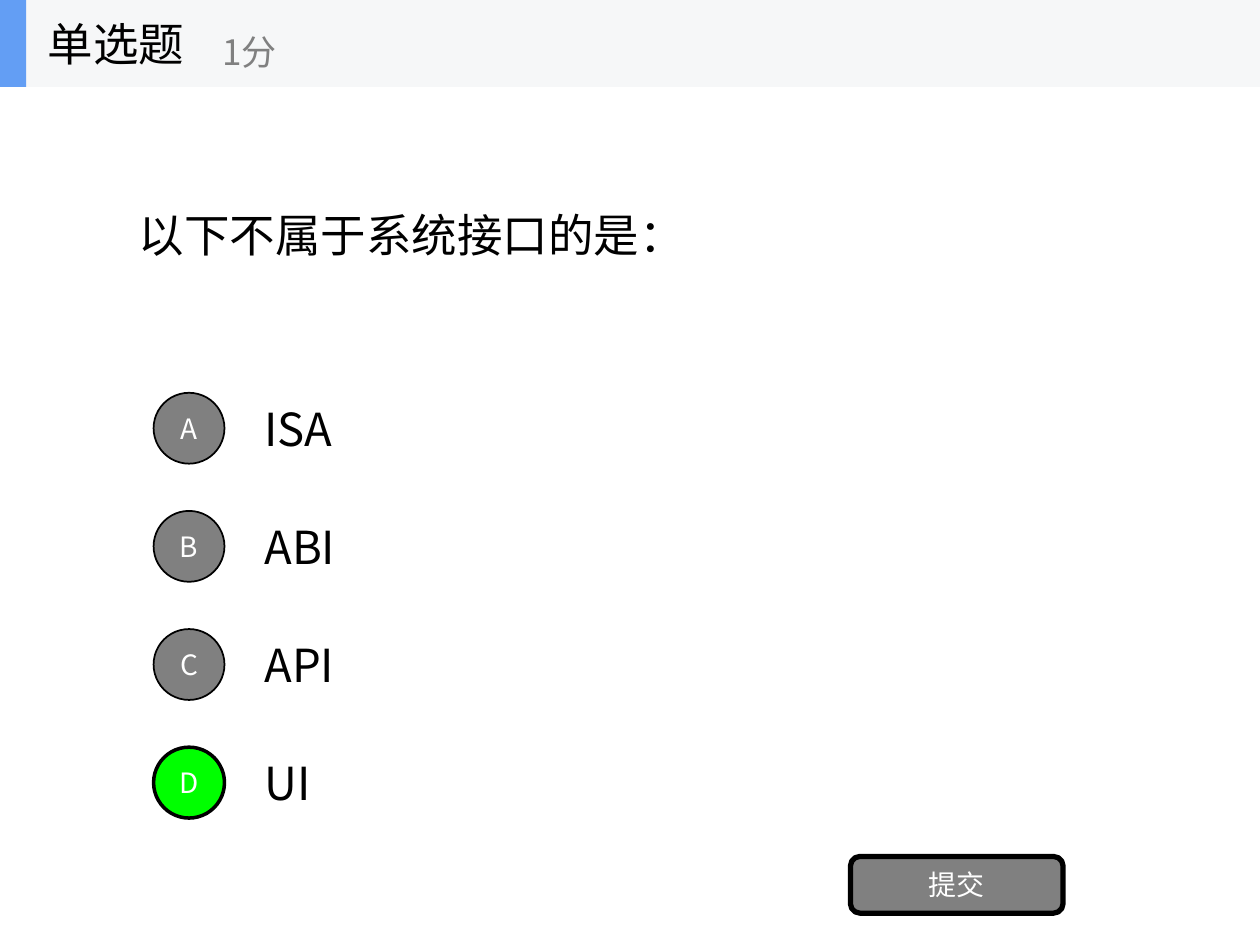
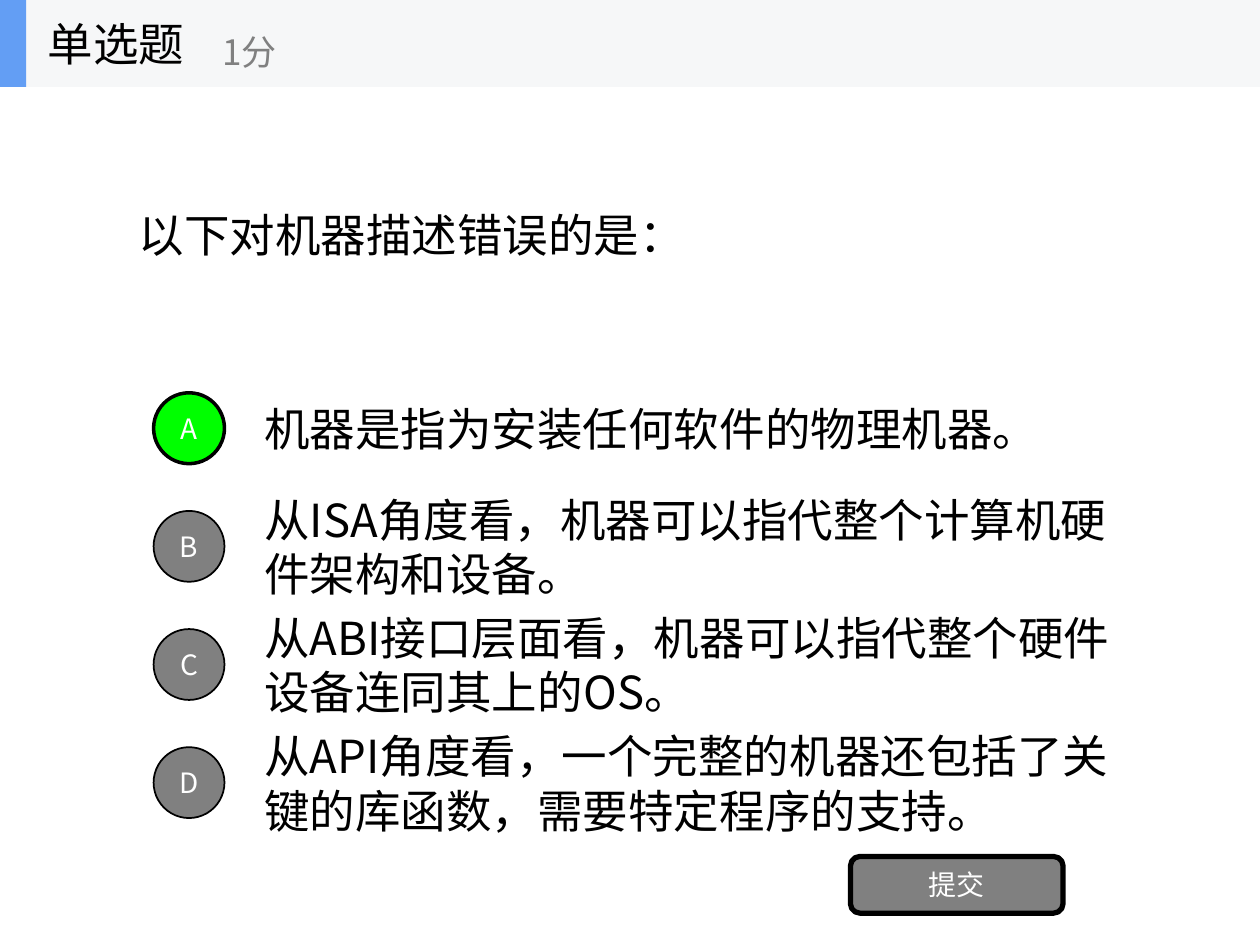
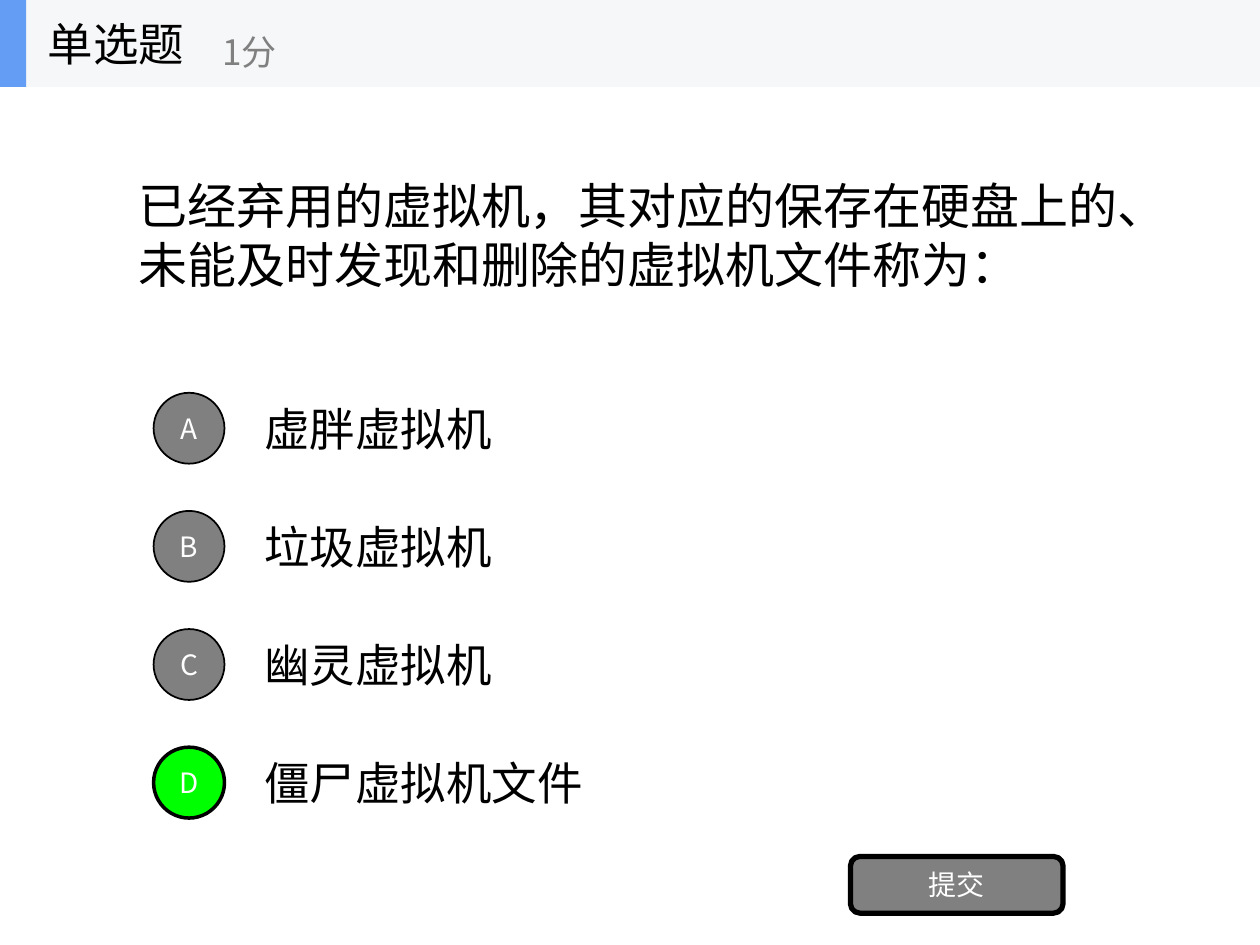
from pptx import Presentation
from pptx.dml.color import RGBColor
from pptx.enum.shapes import MSO_SHAPE
from pptx.enum.text import MSO_ANCHOR, MSO_AUTO_SIZE, PP_ALIGN
from pptx.oxml.ns import qn
from pptx.util import Pt
from lxml.etree import SubElement

COLORS = {
    "text": "000000",
    "white": "FFFFFF",
    "gray": "808080",
    "correct": "00FF00",
    "band": "F6F7F8",
    "accent": "639EF4",
}
FONT = "Noto Sans CJK SC"
BAND_H = 49.7
OPTION_TOP, OPTION_STEP, OPTION_H = 219.4, 67.5, 50.6
CIRCLE = 40.5

# question, its format, options, letter of the right answer
QUESTIONS = [
    ("以下不属于系统接口的是：", {}, ["ISA", "ABI", "API", "UI"], "D"),
    ("以下对机器描述错误的是：", {}, [
        "机器是指为安装任何软件的物理机器。",
        "从ISA角度看，机器可以指代整个计算机硬件架构和设备。",
        "从ABI接口层面看，机器可以指代整个硬件设备连同其上的OS。",
        "从API角度看，一个完整的机器还包括了关键的库函数，需要特定程序的支持。",
    ], "A"),
    ("已经弃用的虚拟机，其对应的保存在硬盘上的、未能及时发现和删除的虚拟机文件称为：",
     {"size": 28, "name": "Times New Roman"},
     ["虚胖虚拟机", "垃圾虚拟机", "幽灵虚拟机", "僵尸虚拟机文件"], "D"),
]


def rgb(name):
    return RGBColor.from_string(COLORS[name])


def box(left, top, width, height):
    return [Pt(v) for v in (left, top, width, height)]


def write(sp, text, size=26, color="text", name=FONT, align=PP_ALIGN.LEFT, wrap=True):
    tf = sp.text_frame
    frame = {"word_wrap": wrap, "auto_size": MSO_AUTO_SIZE.NONE,
             "vertical_anchor": MSO_ANCHOR.MIDDLE}
    for key, value in frame.items():
        setattr(tf, key, value)
    p = tf.paragraphs[0]
    p.alignment = align
    r = p.add_run()
    r.text = text
    for key, value in {"size": Pt(size), "name": name}.items():
        setattr(r.font, key, value)
    r.font.color.rgb = rgb(color)
    # East Asian typeface
    SubElement(r.font._element, qn("a:ea")).set("typeface", FONT)


def add_text(shapes, at, text, **fmt):
    write(shapes.add_textbox(*box(*at)), text, **fmt)


def add_block(shapes, kind, at, fill, line=0):
    sp = shapes.add_shape(kind, *box(*at))
    sp.shadow.inherit = False
    sp.fill.solid()
    sp.fill.fore_color.rgb = rgb(fill)
    if line:
        sp.line.color.rgb = rgb("text")
        sp.line.width = Pt(line)
    else:
        sp.line.fill.background()
    return sp


def add_label(shapes, kind, at, text, fill, line):
    sp = add_block(shapes, kind, at, fill, line)
    for side in ("left", "right", "top", "bottom"):
        setattr(sp.text_frame, f"margin_{side}", 0)
    write(sp, text, size=16, color="white", align=PP_ALIGN.CENTER)


def add_question(s, text, fmt):
    sp = s.shapes.title
    sp.left, sp.top, sp.width, sp.height = box(72, BAND_H, 576, 168.5)
    write(sp, text, **fmt)


def add_options(s, options, answer):
    tops = [OPTION_TOP + i * OPTION_STEP for i in range(len(options))]
    for top, text in zip(tops, options):
        add_text(s.shapes, (144, top, 504, OPTION_H), text)
    for top, letter in zip(tops, "ABCD"):
        fill, line = ("correct", 2) if letter == answer else ("gray", 1)
        at = (87.75, top + (OPTION_H - CIRCLE) / 2, CIRCLE, CIRCLE)
        add_label(s.shapes, MSO_SHAPE.OVAL, at, letter, fill, line)


def add_header(s):
    shapes = s.shapes.add_group_shape().shapes
    add_block(shapes, MSO_SHAPE.RECTANGLE, (0, 0, 720, BAND_H), "band")
    add_block(shapes, MSO_SHAPE.RECTANGLE, (0, 0, 15, BAND_H), "accent")
    add_text(shapes, (20.25, 0, 150, BAND_H), "单选题", wrap=False)
    add_text(shapes, (120, 9, 180, 40.5), "1分", size=20, color="gray", wrap=False)


def main():
    prs = Presentation()
    prs.slide_width, prs.slide_height = Pt(720), Pt(540)
    for question, fmt, options, answer in QUESTIONS:
        s = prs.slides.add_slide(prs.slide_layouts[5])  # Title Only
        add_question(s, question, fmt)
        add_options(s, options, answer)
        # Submit button
        add_label(s.shapes, MSO_SHAPE.ROUNDED_RECTANGLE, (486, 489.4, 121.5, 32.4),
                  "提交", "gray", 3)
        add_header(s)
    prs.save("out.pptx")


if __name__ == "__main__":
    main()
